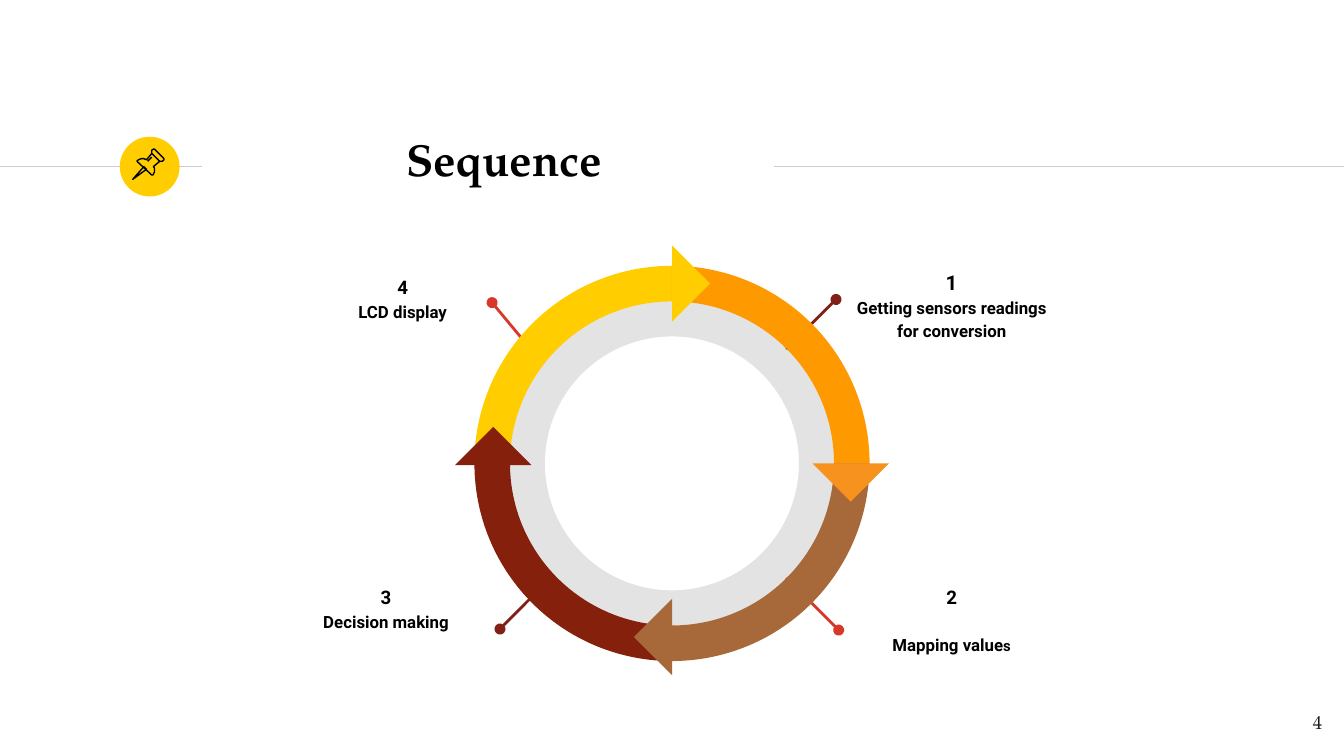
from typing import NamedTuple

from lxml.etree import SubElement
from pptx import Presentation
from pptx.dml.color import RGBColor
from pptx.enum.shapes import MSO_CONNECTOR, MSO_SHAPE
from pptx.enum.text import MSO_ANCHOR, MSO_AUTO_SIZE, PP_ALIGN
from pptx.oxml.ns import qn
from pptx.util import Cm, Pt

COLORS = {
    "black": "000000", "ink": "1D1D1B", "rule": "CCCCCC",
    "yellow": "FFCD00", "orange": "FF9900", "amber": "F6921D",
    "brown": "A7693A", "maroon": "85200C", "red": "D83829", "wine": "802017",
}
SERIF, SANS = "TeX Gyre Pagella", "Roboto"
CENTER = (12.7, 8.76)
RULE_Y = 3.15


class Step(NamedTuple):
    number: str
    caption: str
    tail: str
    box: tuple
    dot: tuple
    end: tuple
    color: str
    number_size: int = 10
    gap: float = 0


class Arc(NamedTuple):
    rotation: int
    start: int
    stop: int
    flipped: bool
    color: str


class Head(NamedTuple):
    x: float
    y: float
    rotation: int
    color: str


STEPS = [
    Step("4", "LCD display", "", (6.02, 4.9, 3.18, 1.73), (9.3, 5.72), (10.03, 6.6), "red"),
    Step("3", "Decision making", "", (5.21, 10.77, 4.17, 1.85), (9.45, 11.89), (10.41, 10.92), "wine"),
    Step("2", "Mapping value", "s", (15.9, 10.77, 4.17, 1.85), (15.85, 11.91), (14.86, 10.92), "red", gap=12.5),
    Step("1", "Getting sensors readings for conversion", "", (15.9, 4.78, 4.17, 1.85),
         (15.8, 5.66), (14.86, 6.6), "wine", number_size=11),
]
ARCS = [
    Arc(330, 240, 330, True, "yellow"),
    Arc(30, 240, 330, False, "orange"),
    Arc(150, 300, 30, False, "maroon"),
    Arc(210, 300, 30, True, "brown"),
]
HEADS = [
    Head(9.32, 8.79, 135, "maroon"),
    Head(16.08, 8.76, 315, "amber"),
    Head(12.7, 12.04, 45, "brown"),
    Head(12.7, 5.36, 225, "yellow"),
]
PIN_PARTS = [
    ([(272, 315), (251, 339), (277, 320)], True),
    ([(287, 290), (302, 305), (307, 305), (310, 302), (310, 300), (292, 282), (290, 282), (287, 284)], True),
    ([(287, 290), (277, 302), (272, 300), (267, 300), (262, 302), (259, 304), (260, 306),
      (287, 331), (289, 331), (292, 325), (292, 318), (290, 315), (302, 305)], False),
    ([(279, 305), (287, 297)], False),
]


def rgb(name: str) -> RGBColor:
    return RGBColor.from_string(COLORS[name])


def add_disc(s, kind, center: tuple, size: float, color: str, rotation: float = 0):
    x, y = center
    sp = s.shapes.add_shape(kind, Cm(x - size / 2), Cm(y - size / 2), Cm(size), Cm(size))
    sp.shadow.inherit = False
    sp.fill.solid()
    sp.fill.fore_color.rgb = rgb(color)
    sp.line.fill.background()
    sp.rotation = rotation
    return sp


def add_line(s, start: tuple, end: tuple, color: str, width: float, dotted_start: bool = False) -> None:
    cx = s.shapes.add_connector(MSO_CONNECTOR.STRAIGHT, *(Cm(v) for v in start + end))
    cx.line.color.rgb = rgb(color)
    cx.line.width = Pt(width)
    if dotted_start:
        SubElement(cx.line._get_or_add_ln(), qn("a:headEnd"), type="oval")
    SubElement(cx.element.spPr, qn("a:effectLst"))


def set_frame(tf) -> None:
    tf.word_wrap = True
    tf.auto_size = MSO_AUTO_SIZE.NONE
    tf.vertical_anchor = MSO_ANCHOR.TOP
    tf.margin_left = tf.margin_right = tf.margin_top = tf.margin_bottom = Cm(0.25)


def set_run(r, font: str, size: float, color: str = "black", bold: bool = True) -> None:
    r.font.name = font
    r.font.size = Pt(size)
    r.font.bold = bold
    r.font.color.rgb = rgb(color)


def add_text(s, box: tuple, text: str):
    tf = s.shapes.add_textbox(*(Cm(v) for v in box)).text_frame
    set_frame(tf)
    tf.text = text
    return tf


def add_title(s, text: str) -> None:
    sp = s.shapes.title
    sp.left, sp.top, sp.width, sp.height = Cm(4.19), Cm(2.24), Cm(10.67), Cm(1.55)
    tf = sp.text_frame
    set_frame(tf)
    tf.text = text
    p = tf.paragraphs[0]
    p.alignment = PP_ALIGN.CENTER
    set_run(p.runs[0], SERIF, 24)


def add_step(s, step: Step) -> None:
    add_line(s, step.dot, step.end, step.color, 1.5, dotted_start=True)
    tf = add_text(s, step.box, step.number)
    set_run(tf.paragraphs[0].runs[0], SANS, step.number_size)
    p = tf.add_paragraph()
    p.text = step.caption
    p.space_before = Pt(step.gap)
    set_run(p.runs[0], SANS, 9)
    if step.tail:
        r = p.add_run()
        r.text = step.tail
        set_run(r, SANS, 8)
    for p in tf.paragraphs:
        p.alignment = PP_ALIGN.CENTER
        p.line_spacing = 1.15


def add_arc(s, arc: Arc) -> None:
    sp = add_disc(s, MSO_SHAPE.BLOCK_ARC, CENTER, 7.47, arc.color, arc.rotation)
    sp.adjustments[0] = arc.start * 0.6
    sp.adjustments[1] = arc.stop * 0.6
    sp.adjustments[2] = 0.09
    if arc.flipped:
        sp.element.spPr.xfrm.set("flipH", "1")


def add_pin_part(s, points: list, closed: bool) -> None:
    fb = s.shapes.build_freeform(*points[0], scale=Cm(0.01))
    fb.add_line_segments(points[1:], close=closed)
    sp = fb.convert_to_shape()
    sp.shadow.inherit = False
    sp.fill.background()
    sp.line.color.rgb = rgb("black")
    sp.line.width = Pt(0.75)


def main() -> None:
    prs = Presentation()
    prs.slide_width, prs.slide_height = Cm(25.4), Cm(14.29)
    s = prs.slides.add_slide(prs.slide_layouts[5])

    add_line(s, (0, RULE_Y), (3.81, RULE_Y), "rule", 0.75)
    add_disc(s, MSO_SHAPE.OVAL, (2.83, RULE_Y), 1.13, "yellow")
    add_line(s, (14.63, RULE_Y), (25.4, RULE_Y), "rule", 0.75)
    for points, closed in PIN_PARTS:
        add_pin_part(s, points, closed)
    add_title(s, "Sequence")

    p = add_text(s, (23.72, 13.18, 1.52, 1.09), "4").paragraphs[0]
    p.alignment = PP_ALIGN.RIGHT
    set_run(p.runs[0], SERIF, 10, "ink", bold=False)

    ring = add_disc(s, MSO_SHAPE.DONUT, CENTER, 7.06, "black")
    ring.adjustments[0] = 0.16
    SubElement(ring.element.spPr.find(f".//{qn('a:srgbClr')}"), qn("a:alpha"), val="11000")

    for step in STEPS:
        add_step(s, step)
    for arc in ARCS:
        add_arc(s, arc)
    for head in HEADS:
        add_disc(s, MSO_SHAPE.RIGHT_TRIANGLE, (head.x, head.y), 1.02, head.color, head.rotation)

    prs.save("out.pptx")


if __name__ == "__main__":
    main()
